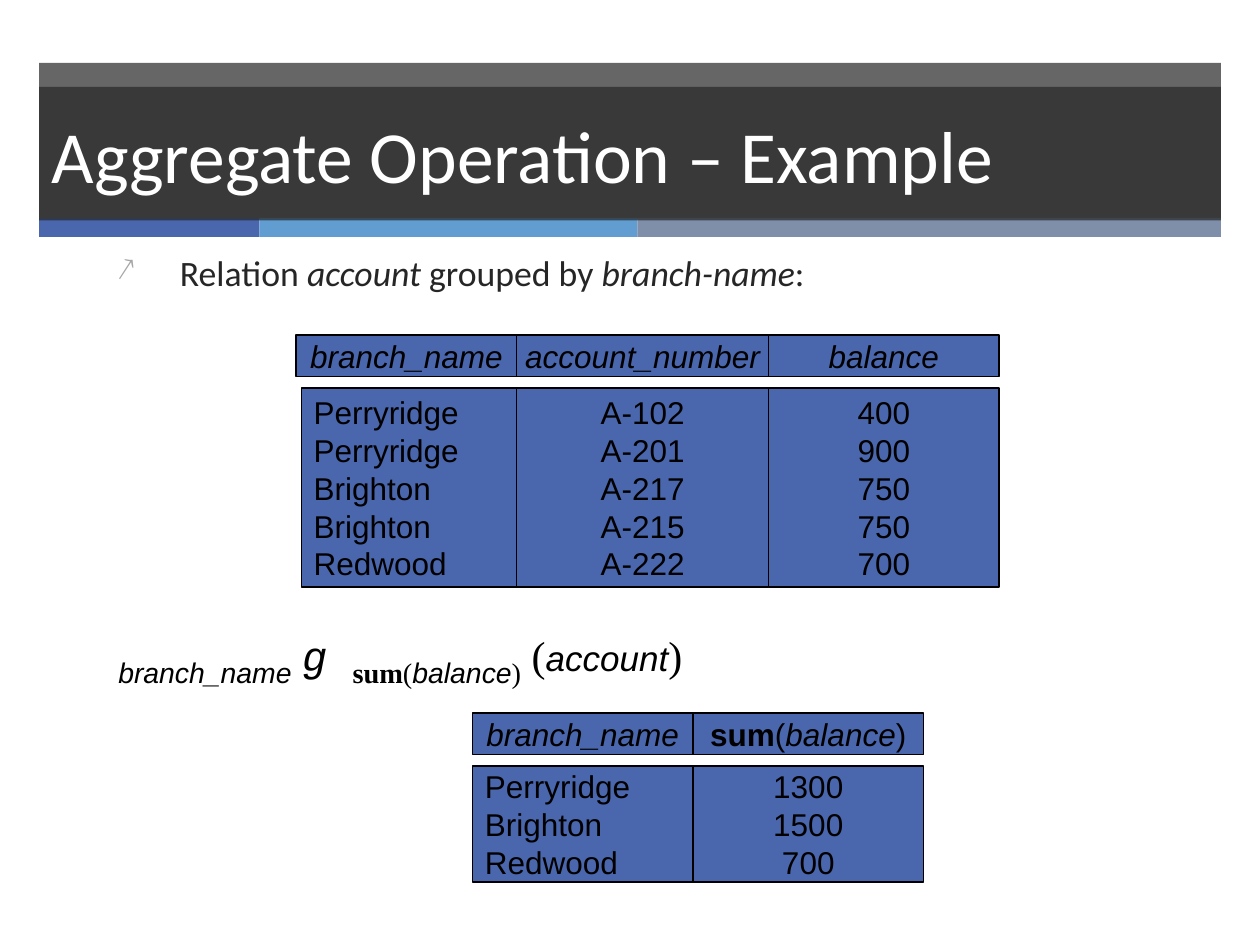
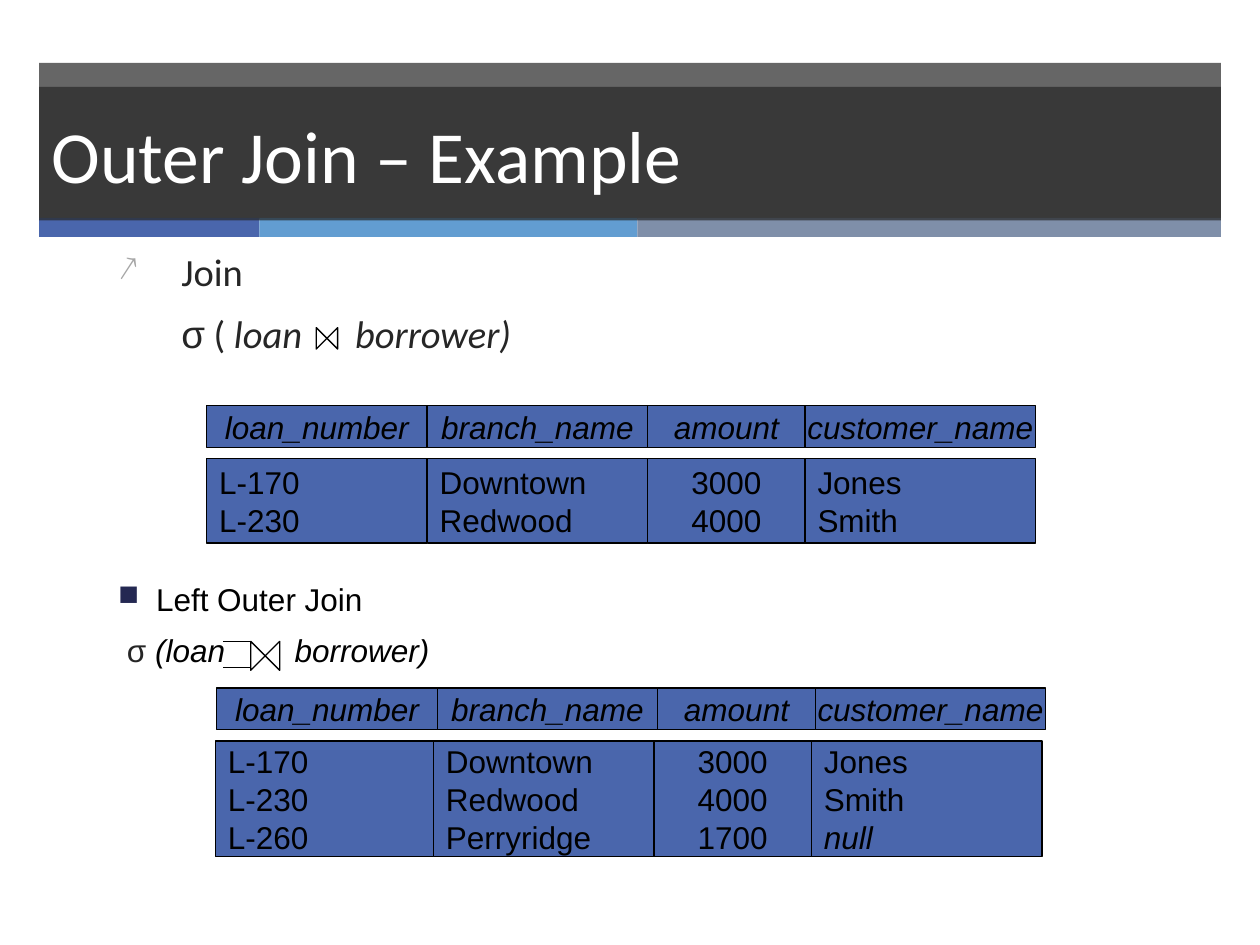
"""Build two slides on relational algebra: aggregation and outer join."""
from dataclasses import dataclass
from itertools import accumulate
from typing import Any

import pptx
import pptx.dml.color
import pptx.enum.shapes
import pptx.enum.text
import pptx.oxml
import pptx.oxml.ns
import pptx.util
from lxml import etree

Inches = pptx.util.Inches
Pt = pptx.util.Pt
qn = pptx.oxml.ns.qn
Shape = pptx.enum.shapes.MSO_SHAPE
Align = pptx.enum.text.PP_ALIGN
Anchor = pptx.enum.text.MSO_ANCHOR

COLORS = {
    "dark": "262626", "blue": "4A66AC", "sky": "629DD1", "slate": "7F8FA9",
    "white": "FFFFFF", "black": "000000", "arrow": "A6A6A6", "navy": "242852",
}
EDGE, WIDE = 0.31, 9.38
STRIPS = (("blue", 1.75), ("sky", 3), ("slate", 4.63))
HEAD, STEP = 0.33, 0.42


@dataclass(frozen=True)
class Run:
    text: str
    size: float = 18
    font: str = "Arial"
    color: str = "black"
    bold: bool = False
    slant: bool = False
    base: int = 0


@dataclass(frozen=True)
class Para:
    runs: tuple[Run, ...]
    before: float = 0
    line: float | None = None
    mark: tuple[str, str] | None = None
    indent: float = 0
    tab: float | None = None


@dataclass(frozen=True)
class Col:
    width: float
    head: tuple[Run, ...]
    cells: tuple[Run, ...]
    mid: bool = False


@dataclass(frozen=True)
class Grid:
    left: float
    top: float
    deep: float
    cols: tuple[Col, ...]
    first: float = 0
    rest: float = 0


def rgb(name: str) -> Any:
    return pptx.dml.color.RGBColor.from_string(COLORS[name])


def paint(shape: Any, color: str, alpha: int = 100) -> None:
    shape.fill.solid()
    shape.fill.fore_color.rgb = rgb(color)
    if alpha < 100:
        tone = shape.element.spPr.find(".//" + qn("a:srgbClr"))
        etree.SubElement(tone, qn("a:alpha"), val=str(alpha * 1000))


def outline(item: Any) -> None:
    item.line.color.rgb = rgb("black")
    item.line.width = Pt(0.75)


def put(slide: Any, kind: Any, x: float, y: float, w: float, h: float) -> Any:
    shape = slide.shapes.add_shape(kind, Inches(x), Inches(y), Inches(w), Inches(h))
    shape.shadow.inherit = False
    return shape


def add_run(para: Any, item: Run) -> None:
    run = para.add_run()
    run.text = item.text
    font = run.font
    font.name, font.size = item.font, Pt(item.size)
    font.bold, font.italic = item.bold, item.slant
    font.color.rgb = rgb(item.color)
    if item.base:
        font._element.set("baseline", str(item.base * 1000))


def write(frame: Any, paras: tuple[Para, ...], align: Any = Align.LEFT) -> None:
    for i, item in enumerate(paras):
        para = frame.add_paragraph() if i else frame.paragraphs[0]
        para.alignment = align
        if item.before:
            para.space_before = Pt(item.before)
        if item.line:
            para.line_spacing = item.line
        props = para._p.get_or_add_pPr()
        if item.mark:
            char, color = item.mark
            props.set("marL", str(Inches(item.indent)))
            props.set("indent", str(-Inches(item.indent)))
            tone = etree.SubElement(props, qn("a:buClr"))
            etree.SubElement(tone, qn("a:srgbClr"), val=COLORS[color])
            etree.SubElement(props, qn("a:buSzPct"), val="90000")
            etree.SubElement(props, qn("a:buChar"), char=char)
        if item.tab:
            tabs = etree.SubElement(props, qn("a:tabLst"))
            etree.SubElement(tabs, qn("a:tab"), pos=str(Inches(item.tab)), algn="l")
        for run in item.runs:
            add_run(para, run)


def text(slide: Any, x: float, y: float, w: float, h: float, *paras: Para) -> None:
    box = slide.shapes.add_textbox(Inches(x), Inches(y), Inches(w), Inches(h))
    box.text_frame.word_wrap = True
    write(box.text_frame, paras)


def cell(slide: Any, x: float, y: float, w: float, h: float,
         paras: tuple[Para, ...], mid: bool) -> None:
    shape = put(slide, Shape.RECTANGLE, x, y, w, h)
    paint(shape, "blue")
    outline(shape)
    frame = shape.text_frame
    frame.word_wrap = False
    frame.vertical_anchor = Anchor.MIDDLE
    write(frame, paras, Align.CENTER if mid else Align.LEFT)


def draw(slide: Any, grid: Grid) -> None:
    lefts = accumulate((col.width for col in grid.cols), initial=grid.left)
    for i, (x, col) in enumerate(zip(lefts, grid.cols)):
        cell(slide, x, grid.top, col.width, HEAD, (Para(col.head),), True)
        shift = grid.rest if i else grid.first
        body = tuple(Para((run,)) for run in col.cells)
        cell(slide, x + shift, grid.top + STEP, col.width, grid.deep, body, col.mid)


def bow(slide: Any, x: float, y: float, size: float) -> None:
    shape = put(slide, Shape.FLOWCHART_COLLATE, x, y, size, size)
    shape.rotation = 270
    shape.fill.background()
    outline(shape)


def rule(slide: Any, x: float, y: float, end: float) -> None:
    line = slide.shapes.add_connector(
        pptx.enum.shapes.MSO_CONNECTOR.STRAIGHT,
        Inches(x), Inches(y), Inches(end), Inches(y))
    outline(line)
    etree.SubElement(line._element.spPr, qn("a:effectLst"))


def start(deck: Any, name: str) -> Any:
    slide = deck.slides.add_slide(deck.slide_layouts[5])
    band = put(slide, Shape.RECTANGLE, EDGE, 0.5, WIDE, 1.24)
    paint(band, "dark", 70)
    band.line.fill.background()
    x = EDGE
    for color, width in STRIPS:
        strip = put(slide, Shape.RECTANGLE, x, 1.73, width, 0.15)
        paint(strip, color)
        strip.line.fill.background()
        x += width
    title = slide.shapes.title
    title.left, title.top = Inches(EDGE), Inches(0.69)
    title.width, title.height = Inches(WIDE), Inches(1.06)
    paint(title, "dark", 70)
    slide.shapes.element.append(title.element)
    frame = title.text_frame
    frame.auto_size = pptx.enum.text.MSO_AUTO_SIZE.NONE
    frame.vertical_anchor = Anchor.MIDDLE
    write(frame, (Para((Run(name, 42, "Calibri", "white"),)),))
    return slide


def cells(words: str) -> tuple[Run, ...]:
    return tuple(Run(word, slant=word == "null") for word in words.split())


def column(width: float, name: str, words: str, mid: bool = False) -> Col:
    return Col(width, (Run(name, slant=True),), cells(words), mid)


def point(*runs: Run, line: float | None = None) -> Para:
    return Para(runs, before=20, line=line, mark=("↗", "arrow"), indent=0.5)


def body(words: str, size: float, slant: bool = False) -> Run:
    return Run(words, size, "Calibri", "dark", slant=slant)


def loans(extra: tuple[str, str, str, str] = ("", "", "", "")) -> tuple[Col, ...]:
    loan, branch, sum_, name = extra
    return (
        column(1.75, "loan_number", f"L-170 L-230 {loan}"),
        column(1.75, "branch_name", f"Downtown Redwood {branch}"),
        column(1.25, "amount", f"3000 4000 {sum_}", True),
        column(1.83, "customer_name", f"Jones Smith {name}"),
    )


def totals(deck: Any) -> None:
    slide = start(deck, "Aggregate Operation – Example")
    text(slide, 0.83, 1.94, 7.51, 0.45, point(
        body("Relation ", 20.4), body("account", 20.4, True),
        body(" grouped by ", 20.4), body("branch-name", 20.4, True), body(":", 20.4)))
    serif = "Times New Roman"
    text(slide, 0.84, 4.89, 7.69, 0.64, Para((
        Run("branch_name", 28, slant=True, base=-25),
        Run(" ", 24, serif),
        Run("g ", 24, "Courier New", slant=True),
        Run("sum", 28, serif, bold=True, base=-25),
        Run("(", 28, serif, base=-25),
        Run("balance", 28, slant=True, base=-25),
        Run(")", 28, serif, base=-25),
        Run(" (", 24, serif),
        Run("account", 20, slant=True),
        Run(")", 24, serif))))
    draw(slide, Grid(2.35, 2.66, 1.58, (
        column(1.75, "branch_name", "Perryridge Perryridge Brighton Brighton Redwood"),
        column(2, "account_number", "A-102 A-201 A-217 A-215 A-222", True),
        column(1.83, "balance", "400 900 750 750 700", True)), first=0.04))
    total = (Run("sum", bold=True), Run("("), Run("balance", slant=True), Run(")"))
    draw(slide, Grid(3.75, 5.66, 0.92, (
        column(1.75, "branch_name", "Perryridge Brighton Redwood"),
        Col(1.83, total, cells("1300 1500 700"), True))))


def joins(deck: Any) -> None:
    slide = start(deck, "Outer Join – Example")
    text(slide, 0.84, 1.99, 7.65, 0.42, point(body("Join", 22), line=0.8))
    text(slide, 1.34, 2.41, 7.15, 0.5, Para((
        Run("σ", 22, color="dark"), body(" ( ", 22),
        body("loan\tborrower)", 22, True)), tab=1.38))
    bow(slide, 2.51, 2.6, 0.17)
    draw(slide, Grid(1.64, 3.22, 0.67, loans()))
    draw(slide, Grid(1.72, 5.46, 0.92, loans(("L-260", "Perryridge", "1700", "null")),
                     first=-0.01, rest=-0.03))
    text(slide, 0.84, 4.55, 4.63, 0.81,
         Para((Run("Left Outer Join"),), before=7.9, mark=("■", "navy"), indent=0.3),
         Para((Run(" ", slant=True), Run("σ", color="dark"),
               Run(" (loan\tborrower)", slant=True)), before=7.9, tab=1.4))
    bow(slide, 1.99, 5.09, 0.23)
    for y in (5.09, 5.3):
        rule(slide, 1.99, y, 1.77)


def main() -> None:
    deck = pptx.Presentation()
    deck.slide_width, deck.slide_height = Inches(10), Inches(7.5)
    totals(deck)
    joins(deck)
    deck.save("out.pptx")


if __name__ == "__main__":
    main()
